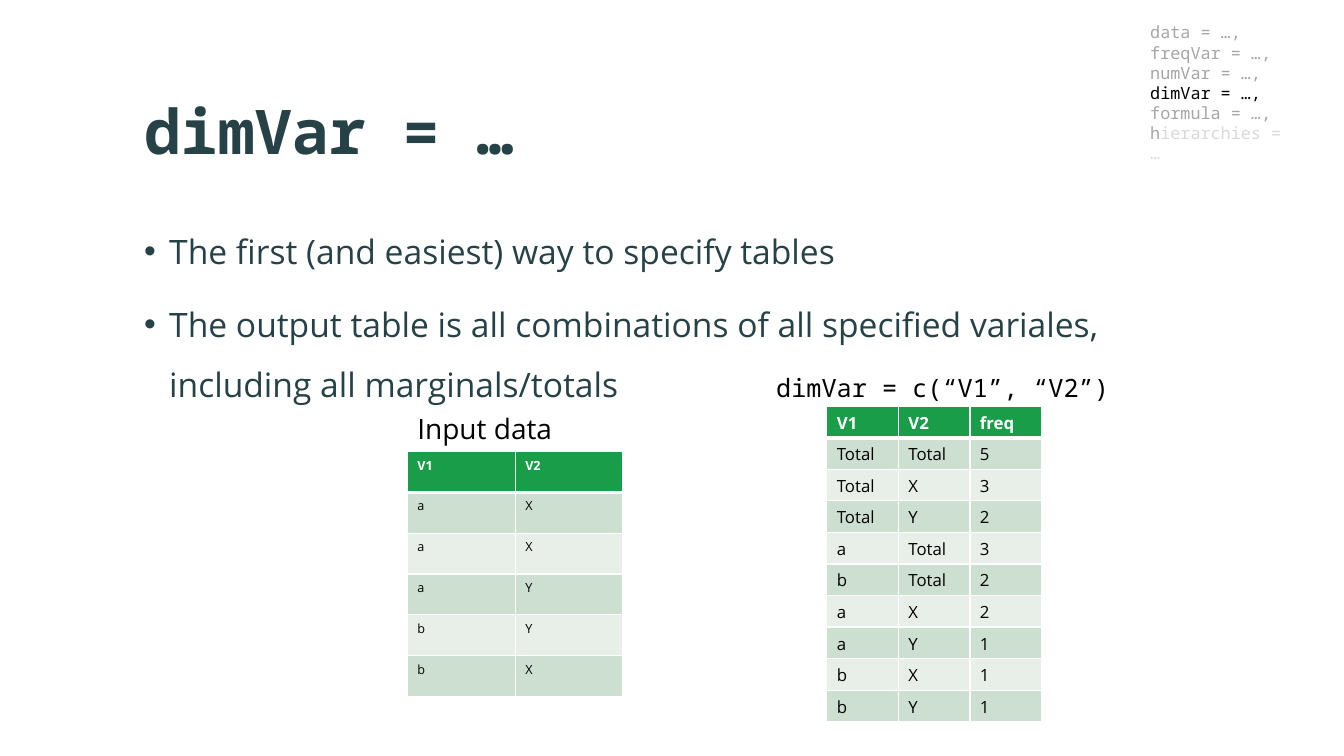
from lxml import etree
from pptx import Presentation
from pptx.dml.color import RGBColor
from pptx.enum.text import MSO_ANCHOR
from pptx.oxml.ns import qn
from pptx.util import Inches, Pt

MIDDLE, TOP = MSO_ANCHOR.MIDDLE, MSO_ANCHOR.TOP
SANS, MONO = "Open Sans", "Noto Sans Mono"

BLACK = RGBColor(0x00, 0x00, 0x00)
WHITE = RGBColor(0xFF, 0xFF, 0xFF)
SLATE = RGBColor(0x27, 0x42, 0x47)
GREEN = RGBColor(0x1A, 0x9D, 0x49)
BAND_DARK = RGBColor(0xCD, 0xDF, 0xD0)
BAND_LIGHT = RGBColor(0xE8, 0xEF, 0xE9)
GREY = RGBColor(0xA6, 0xA6, 0xA6)
PALE_GREY = RGBColor(0xD9, 0xD9, 0xD9)

INPUT_DATA = ["V1 V2", "a X", "a X", "a Y", "b Y", "b X"]
OUTPUT_DATA = ["V1 V2 freq", "Total Total 5", "Total X 3", "Total Y 2", "a Total 3",
               "b Total 2", "a X 2", "a Y 1", "b X 1", "b Y 1"]
BULLETS = [
    "The first (and easiest) way to specify tables",
    "The output table is all combinations of all specified variales, "
    "including all marginals/totals",
]
# Each argument line is a list of (text, colour) runs
ARGUMENTS = [
    [("data = …,", GREY)],
    [("freqVar = …,", GREY)],
    [("numVar = …,", GREY)],
    [("dimVar = …,", BLACK)],
    [("formula = …,", GREY)],
    [("h", GREY), ("ierarchies = …", PALE_GREY)],
]


def add_run(paragraph, text, size, font=SANS, color=BLACK, bold=False):
    run = paragraph.add_run()
    run.text = text
    run.font.size = Pt(size)
    run.font.name = font
    run.font.color.rgb = color
    run.font.bold = bold


def add_text(slide, box, lines, size, font=SANS, color=BLACK, bold=False,
             anchor=TOP, bulleted=False):
    """Add a text box; a line is a string or a list of (text, colour) runs."""
    shape = slide.shapes.add_textbox(*(Inches(length) for length in box))
    frame = shape.text_frame
    frame.word_wrap = True
    frame.vertical_anchor = anchor
    for index, line in enumerate(lines):
        paragraph = frame.paragraphs[0] if index == 0 else frame.add_paragraph()
        if bulleted:
            set_bullet(paragraph)
        runs = [(line, color)] if isinstance(line, str) else line
        for text, run_color in runs:
            add_run(paragraph, text, size, font, run_color, bold)
    return shape


def set_bullet(paragraph):
    paragraph.line_spacing = 1.5
    paragraph.space_after = Pt(9)
    properties = paragraph._p.get_or_add_pPr()
    properties.set("marL", str(Inches(0.25)))
    properties.set("indent", str(-Inches(0.25)))
    etree.SubElement(properties, qn("a:buFont"), typeface="Arial")
    etree.SubElement(properties, qn("a:buChar"), char="•")


def set_borders(cell, bottom_width):
    """Draw white borders; they must precede the fill in the cell properties."""
    properties = cell._tc.get_or_add_tcPr()
    widths = {"a:lnL": 1, "a:lnR": 1, "a:lnT": 1, "a:lnB": bottom_width}
    for tag, width in widths.items():
        line = etree.SubElement(properties, qn(tag), w=str(Pt(width)))
        fill = etree.SubElement(line, qn("a:solidFill"))
        etree.SubElement(fill, qn("a:srgbClr"), val=str(WHITE))


def add_data_table(slide, box, records, size):
    """Add a banded table with a green header from space-separated records."""
    rows = [record.split() for record in records]
    left, top, width, height = (Inches(length) for length in box)
    table = slide.shapes.add_table(
        len(rows), len(rows[0]), left, top, width, height).table
    for column in table.columns:
        column.width = width // len(rows[0])
    for row_index, values in enumerate(rows):
        table.rows[row_index].height = height // len(rows)
        header = row_index == 0
        band = BAND_DARK if row_index % 2 else BAND_LIGHT
        for column_index, value in enumerate(values):
            cell = table.cell(row_index, column_index)
            cell.margin_bottom = Inches(0.03)
            set_borders(cell, 3 if header else 1)
            cell.fill.solid()
            cell.fill.fore_color.rgb = GREEN if header else band
            add_run(cell.text_frame.paragraphs[0], value, size,
                    color=WHITE if header else BLACK, bold=header)


def main():
    presentation = Presentation()
    presentation.slide_width = Inches(13.33)
    presentation.slide_height = Inches(7.5)
    slide = presentation.slides.add_slide(presentation.slide_layouts[6])

    # Title and bullets
    title = add_text(slide, (1.33, 0.6, 10.56, 1.43), ["dimVar = …"], 44,
                     font=MONO, color=SLATE, bold=True, anchor=MIDDLE)
    title.text_frame.margin_top = 0
    add_text(slide, (1.33, 2.04, 10.95, 4.35), BULLETS, 24, color=SLATE, bulleted=True)

    # Input table
    add_data_table(slide, (4.04, 4.48, 2.14, 2.43), INPUT_DATA, 9)
    add_text(slide, (4.04, 4.03, 2.41, 0.44), ["Input data"], 20)

    # Output table
    add_data_table(slide, (8.2, 4.03, 2.13, 3.13), OUTPUT_DATA, 12)
    add_text(slide, (7.6, 3.64, 3.53, 0.4), ["dimVar = c(“V1”, “V2”)"], 18, font=MONO)

    # Argument list with the current one in black
    add_text(slide, (11.31, 0.17, 1.54, 1.51), ARGUMENTS, 12, font=MONO)

    presentation.save("out.pptx")


if __name__ == "__main__":
    main()
